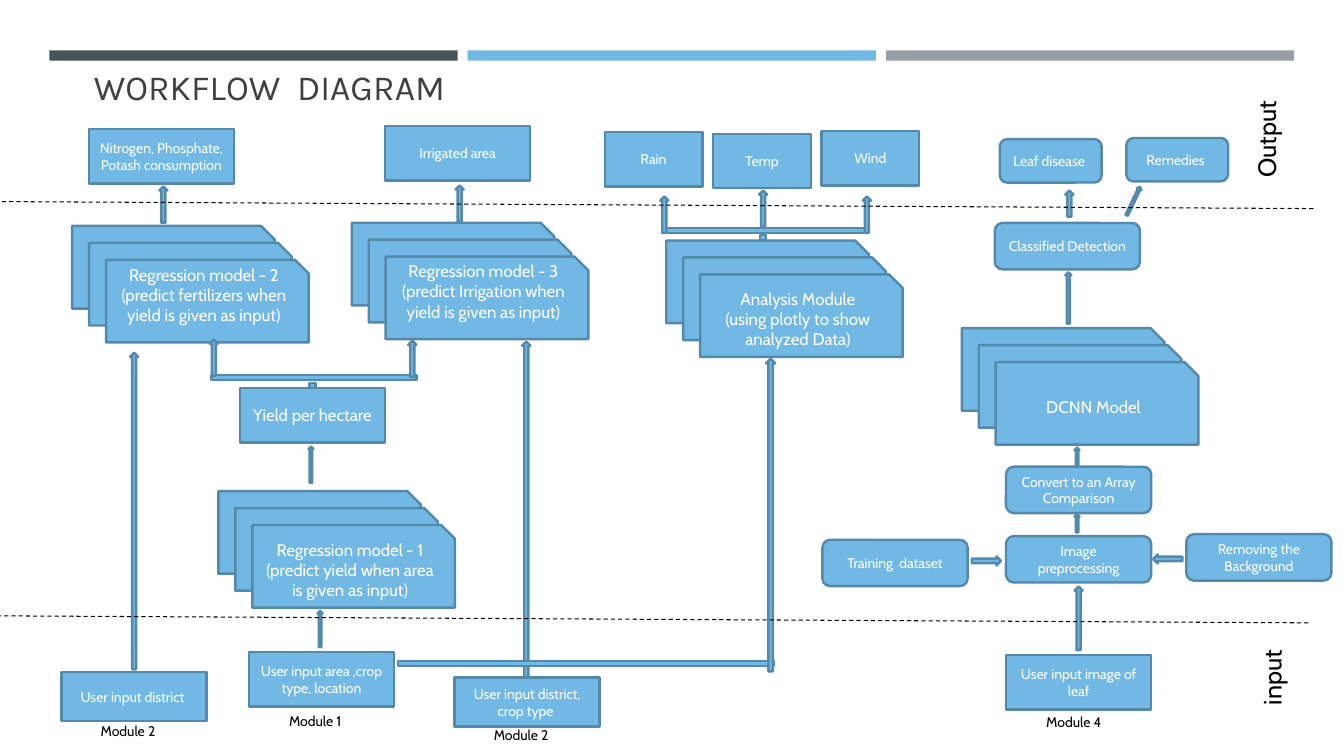
"""Build the workflow diagram slide with its four modules."""
from dataclasses import dataclass
from lxml.etree import SubElement
from pptx import Presentation
from pptx.dml.color import RGBColor as RGB
from pptx.enum.dml import MSO_LINE as Dash
from pptx.enum.shapes import MSO_CONNECTOR as Conn, MSO_SHAPE as Kind
from pptx.enum.text import MSO_ANCHOR as Anchor, PP_ALIGN as Align
from pptx.oxml.ns import qn
from pptx.util import Pt


@dataclass
class Theme:
    blue: RGB = RGB(0x71, 0xB9, 0xE4)
    edge: RGB = RGB(0x54, 0x89, 0xA9)
    slate: RGB = RGB(0x46, 0x53, 0x59)
    gray: RGB = RGB(0x96, 0x9F, 0xA7)
    ink: RGB = RGB(0x40, 0x40, 0x40)
    white: RGB = RGB(255, 255, 255)
    black: RGB = RGB(0, 0, 0)
    head: str = "Karla"
    body: str = "Cabin"
    title: float = 25.2
    side: float = 18
    large: float = 12
    small: float = 10


theme = Theme()
deck = Presentation()
deck.slide_width, deck.slide_height = Pt(960), Pt(540)
slide = deck.slides.add_slide(deck.slide_layouts[5])
shapes = slide.shapes


def write(shape, text, size, color, align, face=theme.body):
    """Fill a shape with wrapped paragraphs of one style."""
    frame = shape.text_frame
    frame.word_wrap = True
    frame.text = text
    for para in frame.paragraphs:
        para.alignment = align
        para.font.size = Pt(size)
        para.font.name = face
        para.font.color.rgb = color
    return frame


def block(kind, x, y, w, h, text="", size=theme.small, fill=theme.blue, edge=theme.edge):
    """Draw a filled preset shape, with an outline and text if given."""
    shape = shapes.add_shape(kind, Pt(x), Pt(y), Pt(w), Pt(h))
    shape.shadow.inherit = False
    shape.fill.solid()
    shape.fill.fore_color.rgb = fill
    if edge:
        shape.line.color.rgb = edge
        shape.line.width = Pt(1.75)
    else:
        shape.line.fill.background()
    if text:
        write(shape, text, size, theme.white, Align.CENTER).vertical_anchor = Anchor.MIDDLE
    return shape


for i, color in enumerate((theme.slate, theme.blue, theme.gray)):
    block(Kind.RECTANGLE, 35.3 + 298.8 * i, 36, 291.6, 7.4, fill=color, edge=None)

title = shapes.title
title.left, title.top, title.width, title.height = Pt(59.8), Pt(47.5), Pt(868.3), Pt(33.1)
frame = write(title, "WORKFLOW  DIAGRAM", theme.title, theme.ink, Align.LEFT, theme.head)
frame.vertical_anchor = Anchor.BOTTOM

stacks = [
    (251.3, 159.1, "Regression model - 3\n(predict Irrigation when yield is given as input)", 18),
    (51.6, 161.4, "Regression model - 2\n(predict fertilizers when yield is given as input)", 18),
    (475.9, 171.8, "Analysis Module\n(using plotly to show analyzed Data)", 3.6),
    (156, 350.8, "Regression model - 1\n(predict yield when area is given as input)", 3.6),
    (687, 234.4, "DCNN Model", 3.6),
]
for x, y, text, inset in stacks:
    for i in range(3):
        card = block(Kind.SNIP_1_RECTANGLE, x + 12.1 * i, y + 12.1 * i, 144.7, 59,
                     text if i == 2 else "", theme.large)
    card.text_frame.margin_bottom = Pt(inset)

wide, thin, leaf = (103.7, 38.9), (69.8, 38.9), (72.7, 31)
step, low = (103.7, 33.1), (103.7, 34.9)
rect, soft = Kind.RECTANGLE, Kind.ROUNDED_RECTANGLE
boxes = [
    (rect, 177.8, 465.8, wide, "User input area ,crop type, location"),
    (rect, 63.4, 92.2, wide, "Nitrogen, Phosphate, Potash consumption"),
    (rect, 275, 90, wide, "Irrigated area"),
    (rect, 43.9, 480.2, low, "User input district "),
    (rect, 324.7, 484, low, "User input district, crop type "),
    (rect, 432, 94.3, thin, "Rain"),
    (rect, 509.4, 95.6, thin, "Temp"),
    (rect, 586.8, 93.6, thin, "Wind"),
    (rect, 718.6, 468, wide, "User input image of leaf"),
    (soft, 718.6, 383, step, "Image preprocessing"),
    (soft, 718.6, 333.4, step, "Convert to an Array Comparison"),
    (soft, 587.5, 385.6, step, "Training  dataset"),
    (soft, 847.4, 381.6, step, "Removing the Background"),
    (soft, 710.6, 159.3, step, "Classified Detection"),
    (soft, 714.2, 99.4, leaf, "Leaf disease "),
    (soft, 804.5, 98.6, leaf, "Remedies "),
]
for kind, x, y, (w, h), text in boxes:
    block(kind, x, y, w, h, text)
block(rect, 171.4, 277.2, *wide, "Yield per hectare", theme.large)

up = Kind.UP_ARROW
links = [
    (up, 226.8, 436.3, 3.6, 25.9, 0),
    (up, 220.3, 319, 3.6, 25.9, 0),
    (rect, 151.2, 267.8, 146.2, 3.6, 0),
    (up, 149.8, 242.6, 5.8, 25.9, 0),
    (up, 291.6, 243.4, 5.8, 25.9, 0),
    (rect, 221, 273.6, 4.3, 3.6, 0),
    (up, 113.8, 133.2, 5.8, 25.9, 0),
    (up, 92.9, 252, 5.8, 226.1, 0),
    (up, 325.4, 132.5, 5.8, 25.9, 0),
    (up, 373, 244.1, 5.8, 239.8, 0),
    (rect, 473, 162.7, 146.2, 3.6, 0),
    (up, 471.6, 140.4, 5.8, 25.9, 0),
    (up, 616.3, 140.4, 5.8, 25.9, 0),
    (rect, 542.9, 167.8, 4.3, 3.6, 0),
    (up, 542.2, 136.1, 5.8, 25.9, 0),
    (rect, 284.4, 472.3, 268.6, 3.6, 0),
    (up, 547.2, 256.3, 6.5, 223.2, 0),
    (up, 767.5, 367.2, 3.6, 13, 0),
    (up, 767.5, 419, 5.8, 45.4, 0),
    (up, 701.3, 390.2, 6.5, 20.9, 90),
    (up, 767.5, 319.7, 3.6, 13, 0),
    (up, 761, 194.4, 4.3, 36.7, 0),
    (up, 761, 136.1, 5.8, 18.7, 0),
    (up, 807.8, 132.5, 3.6, 22.3, 25.5),
    (up, 830.9, 388.8, 6.5, 20.9, 270),
]
for kind, x, y, w, h, turn in links:
    block(kind, x, y, w, h).rotation = turn

for x, y in ((-2.2, 439.9), (1.4, 144)):
    line = shapes.add_connector(Conn.STRAIGHT, Pt(x), Pt(y), Pt(x + 938.9), Pt(y + 5))
    line.line.color.rgb = theme.black
    line.line.width = Pt(0.75)
    line.line.dash_style = Dash.DASH
    SubElement(line._element.spPr, qn("a:effectLst"))

labels = [
    ("input", 880.6, 468.7, 55.4, 28.8, theme.side, 270),
    ("Output", 867.6, 82.8, 73.4, 28.8, theme.side, 270),
    ("Module 1", 199.4, 505.4, 66.2, 19.4, theme.small, 0),
    ("Module 2", 64.8, 512.6, 66.2, 19.4, theme.small, 0),
    ("Module 2", 345.6, 515.5, 66.2, 19.4, theme.small, 0),
    ("Module 4", 740.2, 506.2, 66.2, 19.4, theme.small, 0),
]
for text, x, y, w, h, size, turn in labels:
    label = shapes.add_textbox(Pt(x), Pt(y), Pt(w), Pt(h))
    label.rotation = turn
    write(label, text, size, theme.black, Align.LEFT)

deck.save("out.pptx")
